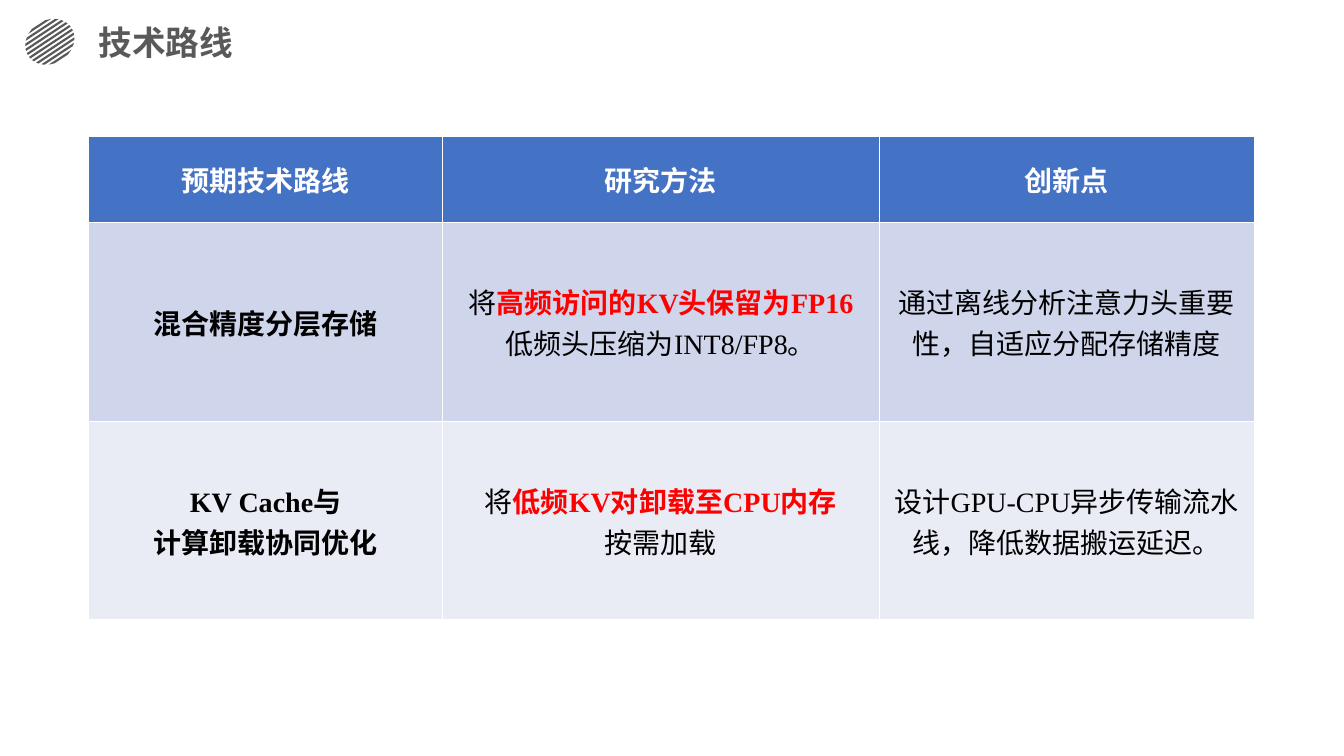
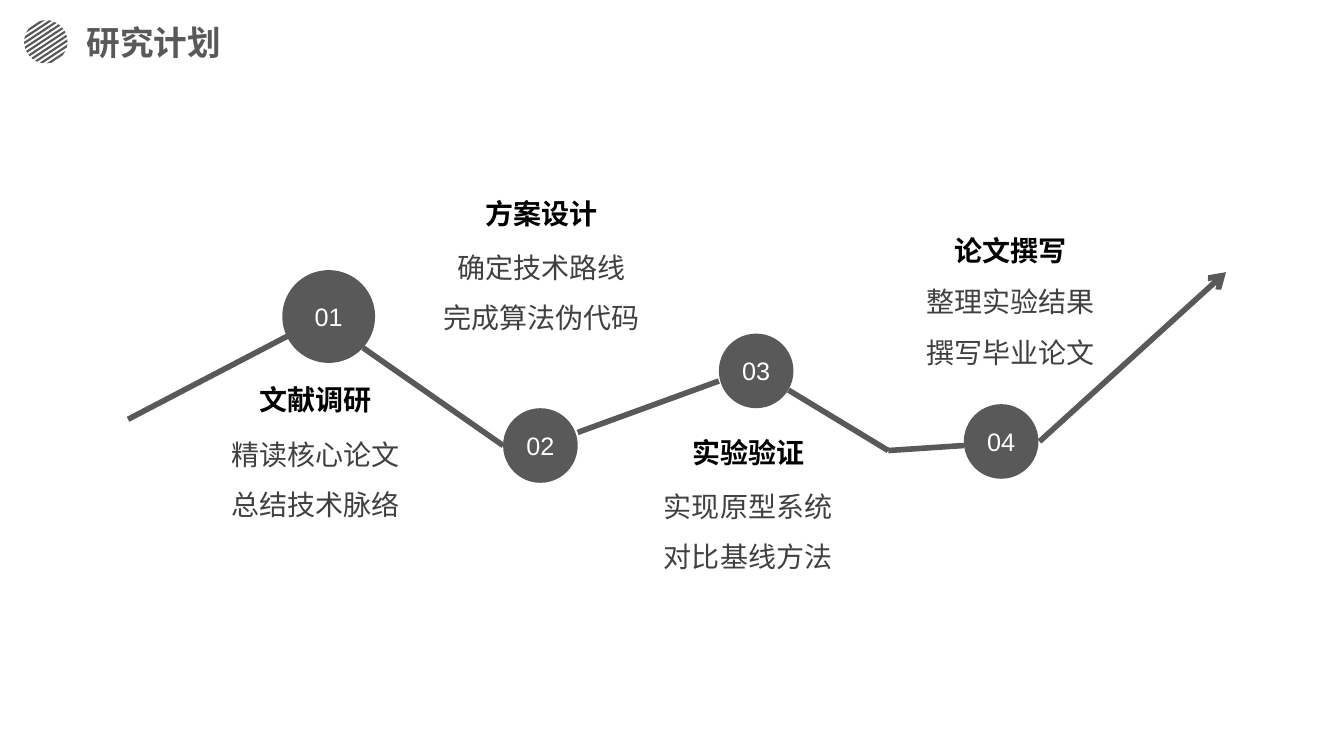
"""Build the technical route table and the research plan timeline."""
from math import cos, radians, sin, sqrt

from lxml.etree import SubElement
from pptx import Presentation
from pptx.dml.color import RGBColor
from pptx.enum.lang import MSO_LANGUAGE_ID as Lang
from pptx.enum.shapes import MSO_CONNECTOR as Link, MSO_SHAPE as Shape
from pptx.enum.text import MSO_ANCHOR as Anchor, PP_ALIGN as Align
from pptx.oxml.ns import qn
from pptx.util import Inches, Pt

GREY, WHITE, BLACK, RED = "595959", "FFFFFF", "000000", "FF0000"
BODY_GREY = "404040"
ROW_FILLS = ["4472C4", "CFD5EA", "E9EBF5"]

TITLE = dict(size=24, name="Arial", color=GREY, bold=True)
HEADING = dict(size=20, name="Arial", color=BLACK, bold=True)
DETAIL = dict(size=20, name="Arial", color=BODY_GREY)
NUMBER = dict(size=18, name="Arial", color=WHITE)
CELL = dict(size=20, name="Times New Roman", color=BLACK, bold=False)
HEAD_CELL = CELL | dict(color=WHITE, bold=True)
NAME_CELL = CELL | dict(bold=True)
KEY = CELL | dict(color=RED, bold=True)

COLUMNS, ROWS = [3.51, 4.33, 3.72], [0.86, 1.97, 1.97]
ROUTES = [
    [[[("预期技术路线", HEAD_CELL)]], [[("研究方法", HEAD_CELL)]],
     [[("创新点", HEAD_CELL)]]],
    [[[("混合精度分层存储", NAME_CELL)]],
     [[("将", CELL), ("高频访问的KV头保留为FP16", KEY)],
      [("低频头压缩为INT8/FP8。", CELL)]],
     [[("通过离线分析注意力头重要性，自适应分配存储精度", CELL)]]],
    [[[("KV Cache与", NAME_CELL)], [("计算卸载协同优化", NAME_CELL)]],
     [[("将", CELL), ("低频KV对卸载至CPU内存", KEY)], [("按需加载", CELL)]],
     [[("设计GPU-CPU异步传输流水线，降低数据搬运延迟。", CELL)]]],
]

STEPS = [
    dict(head="文献调研", details=["精读核心论文", "总结技术脉络"],
         disc=(2.8, 2.68, 0.92), text=(3.13, 3.75), drop=0.37),
    dict(head="方案设计", details=["确定技术路线", "完成算法伪代码"],
         disc=(4.99, 4.05, 0.74), text=(5.37, 1.9), drop=0.37),
    dict(head="实验验证", details=["实现原型系统", "对比基线方法"],
         disc=(7.13, 3.31, 0.74), text=(7.42, 4.27), drop=0.37),
    dict(head="论文撰写", details=["整理实验结果", "撰写毕业论文"],
         disc=(9.56, 4.01, 0.74), text=(10.02, 2.27), drop=0.34),
]
TRACK = [
    ((1.27, 4.16), (2.88, 3.32)),
    ((3.6, 3.45), (4.99, 4.42)),
    ((5.73, 4.29), (7.13, 3.78)),
    ((7.82, 3.87), (8.81, 4.47)),
    ((8.81, 4.47), (9.56, 4.42)),
    ((10.31, 4.38), (12.16, 2.7)),
]
HEAD_WIDTH, DETAIL_WIDTH = 1.31, 2.78
STRIPES, TILT = 10, radians(-33.4)


def rgb(value):
    return RGBColor.from_string(value)


def add_span(para, text, style):
    span = para.add_run()
    span.text = text
    span.font.language_id = Lang.SIMPLIFIED_CHINESE
    for key, value in style.items():
        if key == "color":
            span.font.color.rgb = rgb(value)
        else:
            setattr(span.font, key, Pt(value) if key == "size" else value)


def write(frame, lines, **layout):
    for index, spans in enumerate(lines):
        para = frame.add_paragraph() if index else frame.paragraphs[0]
        for key, value in layout.items():
            setattr(para, key, value)
        for text, style in spans:
            add_span(para, text, style)


def add_text(page, place, lines, wrap=True, margins=None, **layout):
    frame = page.shapes.add_textbox(*map(Inches, place)).text_frame
    frame.word_wrap = wrap
    if margins is not None:
        for side in ("left", "top", "right", "bottom"):
            setattr(frame, f"margin_{side}", Inches(margins))
    write(frame, lines, **layout)


def paint(shape):
    shape.shadow.inherit = False
    shape.fill.solid()
    shape.fill.fore_color.rgb = rgb(GREY)
    shape.line.fill.background()


def add_striped_disc(page, left, top, width, height):
    def point(across, down):
        x, y = across * width / 2, down * height / 2
        return (Inches(left + width / 2 + x * cos(TILT) - y * sin(TILT)),
                Inches(top + height / 2 + x * sin(TILT) + y * cos(TILT)))

    builder = None
    for stripe in range(STRIPES):
        upper, lower = [2 * (stripe + share) / STRIPES - 1 for share in (0.25, 0.75)]
        a, b = sqrt(1 - upper ** 2), sqrt(1 - lower ** 2)
        start, *rest = [point(-a, upper), point(a, upper), point(b, lower), point(-b, lower)]
        if builder:
            builder.move_to(*start)
        else:
            builder = page.shapes.build_freeform(*start)
        builder.add_line_segments(rest, close=True)
    paint(builder.convert_to_shape())


def add_page(deck, title, disc_width, title_left):
    page = deck.slides.add_slide(deck.slide_layouts[6])
    add_striped_disc(page, 0.24, 0.2, disc_width, 0.43)
    add_text(page, (title_left, 0.22, 3, 0.4), [[(title, TITLE)]], margins=0)
    return page


def add_routes(page):
    place = (0.88, 1.35, sum(COLUMNS), sum(ROWS))
    table = page.shapes.add_table(len(ROWS), len(COLUMNS), *map(Inches, place)).table
    for column, width in zip(table.columns, COLUMNS):
        column.width = Inches(width)
    for row, height, fill, contents in zip(table.rows, ROWS, ROW_FILLS, ROUTES):
        row.height = Inches(height)
        for cell, lines in zip(row.cells, contents):
            cell.fill.solid()
            cell.fill.fore_color.rgb = rgb(fill)
            cell.vertical_anchor = Anchor.MIDDLE
            write(cell.text_frame, lines, alignment=Align.CENTER)


def add_track(page):
    for start, end in TRACK:
        line = page.shapes.add_connector(Link.STRAIGHT, *map(Inches, start + end))
        line.line.color.rgb = rgb(GREY)
        line.line.width = Pt(4)
        SubElement(line._element.spPr, qn("a:effectLst"))
    SubElement(line.line._get_or_add_ln(), qn("a:tailEnd"), type="arrow")


def add_step(page, number, step):
    left, top, size = step["disc"]
    disc = page.shapes.add_shape(Shape.OVAL, *map(Inches, (left, top, size, size)))
    paint(disc)
    disc.text_frame.vertical_anchor = Anchor.MIDDLE
    write(disc.text_frame, [[(f"{number:02}", NUMBER)]], alignment=Align.CENTER)
    middle, top = step["text"]
    add_text(page, (middle - HEAD_WIDTH / 2, top, HEAD_WIDTH, 0.43),
             [[(step["head"], HEADING)]], wrap=False, alignment=Align.CENTER)
    add_text(page, (middle - DETAIL_WIDTH / 2, top + step["drop"], DETAIL_WIDTH, 1.05),
             [[(text, DETAIL)] for text in step["details"]],
             alignment=Align.CENTER, line_spacing=1.5)


def main():
    deck = Presentation()
    deck.slide_width, deck.slide_height = Inches(13.33), Inches(7.5)
    add_routes(add_page(deck, "技术路线", 0.51, 0.98))
    plan = add_page(deck, "研究计划", 0.43, 0.86)
    add_track(plan)
    for number, step in enumerate(STEPS, 1):
        add_step(plan, number, step)
    deck.save("out.pptx")


if __name__ == "__main__":
    main()
